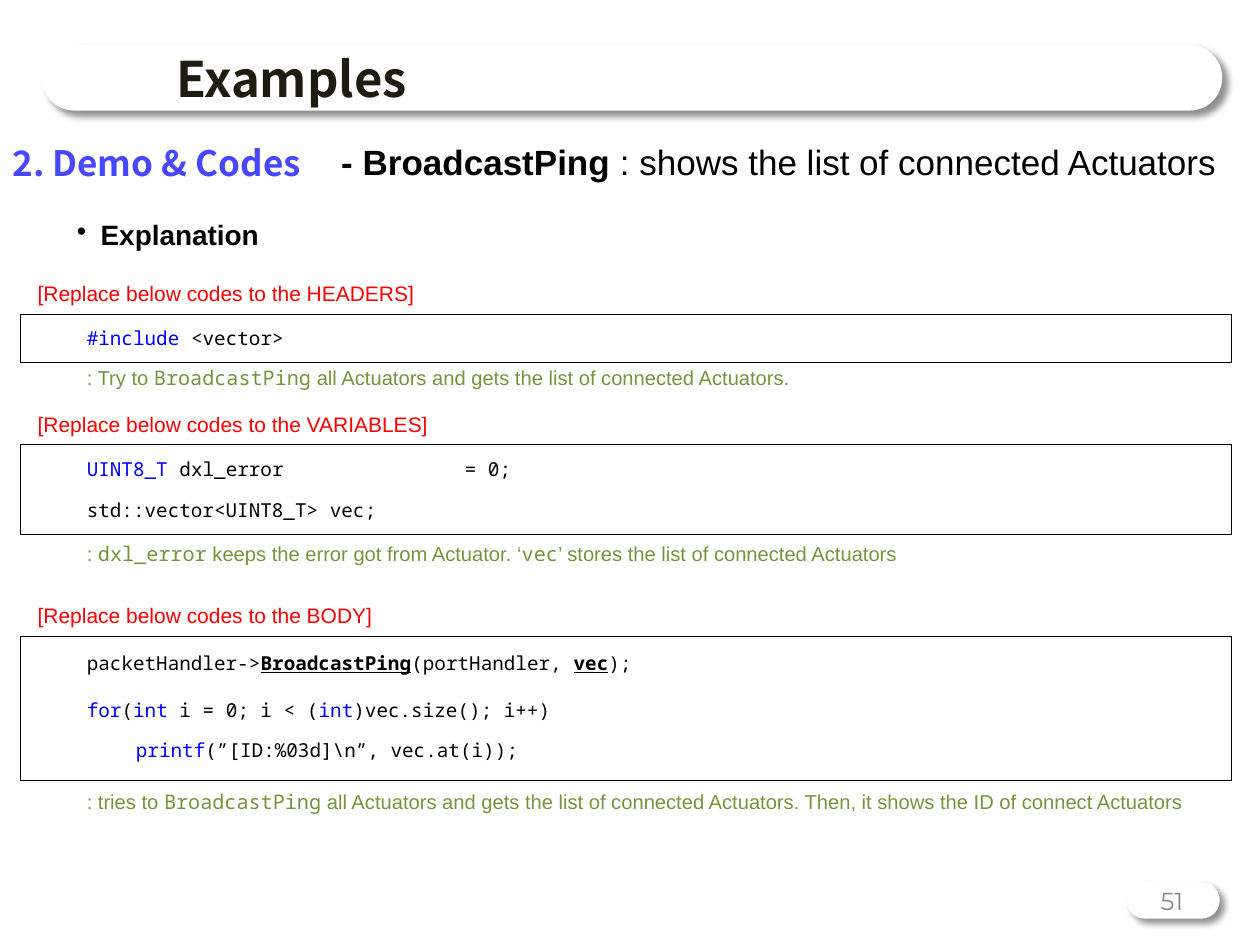
"""Build the slide explaining the BroadcastPing example."""
from lxml import etree
from pptx import Presentation
from pptx.dml.color import RGBColor
from pptx.enum.shapes import MSO_SHAPE
from pptx.enum.text import MSO_ANCHOR, MSO_AUTO_SIZE, PP_ALIGN
from pptx.oxml.ns import qn
from pptx.util import Cm, Pt

RECTANGLE, PILL = MSO_SHAPE.RECTANGLE, MSO_SHAPE.ROUNDED_RECTANGLE
TOP, MIDDLE = MSO_ANCHOR.TOP, MSO_ANCHOR.MIDDLE
LEFT, CENTER = PP_ALIGN.LEFT, PP_ALIGN.CENTER
NO_FIT = MSO_AUTO_SIZE.NONE

SANS, HEADING_FONT, MONO, NUMBER_FONT = "Arial", "Noto Sans CJK KR", "Noto Sans Mono", "Montserrat"
BLACK, WHITE, BLUE, RED, GREEN = "000000", "FFFFFF", "0000FF", "FF0000", "77933C"
KEYWORD = {"color": BLUE}
STRONG = {"bold": True, "underline": True}
CODE_NAME = {"font": MONO}
LINE_HEIGHT, HEADING_HEIGHT, CODE_LEFT = 0.82, 0.84, 1.5

SECTIONS = [
    {
        "name": "HEADERS", "top": 5.49, "frame_height": 0.97,
        "code": [(CODE_LEFT, 6.4, [("#include ", KEYWORD), "<vector>"])],
        "note_top": 7.19,
        "note": [": Try to ", ("BroadcastPing", CODE_NAME),
                 " all Actuators and gets the list of connected Actuators."],
    },
    {
        "name": "VARIABLES", "top": 8.13, "frame_height": 1.8,
        "code": [
            (CODE_LEFT, 9.04, [("UINT8_T", KEYWORD), " dxl_error\t\t= 0;"]),
            (CODE_LEFT, 9.86, ["std::vector<UINT8_T> vec;"]),
        ],
        "note_top": 10.74,
        "note": [": ", ("dxl_error", CODE_NAME), " keeps the error got from Actuator. ‘",
                 ("vec", CODE_NAME), "’ stores the list of connected Actuators"],
    },
    {
        "name": "BODY", "top": 11.99, "frame_height": 2.9,
        "code": [
            (CODE_LEFT, 12.95, ["packetHandler->", ("BroadcastPing", STRONG),
                                "(portHandler, ", ("vec", STRONG), ");"]),
            (CODE_LEFT, 13.89, [("for", KEYWORD), "(", ("int", KEYWORD), " i = 0; i < (",
                                ("int", KEYWORD), ")vec.size(); i++)"]),
            (2.49, 14.71, [("printf", KEYWORD), "(”[ID:%03d]\\n”, vec.at(i));"]),
        ],
        "note_top": 15.75,
        "note": [": tries to ", ("BroadcastPing", CODE_NAME),
                 " all Actuators and gets the list of connected Actuators."
                 " Then, it shows the ID of connect Actuators"],
    },
]


def rgb(code):
    """Turn a hex string into a colour."""
    return RGBColor.from_string(code)


def place(shape, left, top, width, height):
    """Move and size a shape, in centimetres."""
    shape.left, shape.top, shape.width, shape.height = map(Cm, (left, top, width, height))


def set_bullet(para, character=None, indent=0.0):
    """Give a paragraph a hanging bullet, or none."""
    properties = para._p.get_or_add_pPr()
    properties.set("marL", str(Cm(indent)))
    properties.set("indent", str(-Cm(indent)))
    if character:
        etree.SubElement(properties, qn("a:buChar"), char=character)
    else:
        etree.SubElement(properties, qn("a:buNone"))


def set_tabs(para, *positions):
    """Add left tab stops, in centimetres."""
    stops = etree.SubElement(para._p.get_or_add_pPr(), qn("a:tabLst"))
    for position in positions:
        etree.SubElement(stops, qn("a:tab"), pos=str(Cm(position)), algn="l")


def write_text(shape, spans, anchor=MIDDLE, align=LEFT, wrap=True, **style):
    """Write spans, each a string or a string with its own format."""
    frame = shape.text_frame
    frame.auto_size, frame.word_wrap, frame.vertical_anchor = NO_FIT, wrap, anchor
    para = frame.paragraphs[0]
    para.alignment, para.space_before = align, Pt(0)
    for item in spans:
        text, changes = (item, {}) if isinstance(item, str) else item
        look = {"font": SANS, "size": 12, "color": BLACK, "bold": False,
                "underline": False, **style, **changes}
        span = para.add_run()
        span.text = text
        span.font.name, span.font.size = look["font"], Pt(look["size"])
        span.font.bold, span.font.underline = look["bold"], look["underline"]
        span.font.color.rgb = rgb(look["color"])
    return para


def add_text(page, place_at, spans, **style):
    """Add a text box and return its paragraph."""
    box = page.shapes.add_textbox(*map(Cm, place_at))
    return write_text(box, spans, **style)


def add_pill(page, place_at):
    """Add a white pill with a soft shadow behind the title."""
    pill = page.shapes.add_shape(PILL, *map(Cm, place_at))
    pill.adjustments[0] = 0.5
    pill.fill.solid()
    pill.fill.fore_color.rgb = rgb(WHITE)
    pill.line.fill.background()
    pill.shadow.inherit = False
    effects = pill._element.spPr.find(qn("a:effectLst"))
    shadow = etree.SubElement(effects, qn("a:outerShdw"), blurRad=str(Pt(4)), dist=str(Pt(4)),
                              dir="2700000", algn="tl", rotWithShape="0")
    color = etree.SubElement(shadow, qn("a:srgbClr"), val=BLACK)
    etree.SubElement(color, qn("a:alpha"), val="43000")
    page.shapes.title._element.addprevious(pill._element)


def add_code_frame(page, top, height):
    """Add the thin outline around a block of code."""
    outline = page.shapes.add_shape(RECTANGLE, *map(Cm, (0.41, top, 24.41, height)))
    outline.fill.background()
    outline.line.color.rgb = rgb(BLACK)
    outline.line.width = Pt(0.5)
    outline.shadow.inherit = False


def add_section(page, section):
    """Add a red heading, its framed code and the green note."""
    top = section["top"]
    add_text(page, (0.51, top, 23.19, HEADING_HEIGHT),
             [f"[Replace below codes to the {section['name']}]"], color=RED)
    add_code_frame(page, top + HEADING_HEIGHT, section["frame_height"])
    for left, line_top, spans in section["code"]:
        para = add_text(page, (left, line_top, 20.8, LINE_HEIGHT), spans, font=MONO, size=11)
        if any("\t" in item for item in spans):
            set_tabs(para, 5.08, 7.62)
    add_text(page, (CODE_LEFT, section["note_top"], 23.9, LINE_HEIGHT), section["note"],
             size=11.5, color=GREEN)


def main():
    """Build and save the deck."""
    deck = Presentation()
    deck.slide_width, deck.slide_height = Cm(25.4), Cm(19.05)
    page = deck.slides.add_slide(deck.slide_layouts[1])
    title, body = page.shapes.title, page.placeholders[1]

    add_pill(page, (0.84, 0.91, 23.8, 1.32))
    add_pill(page, (22.71, 17.78, 1.88, 0.74))
    place(title, 3.3, 0.97, 20.4, 1.22)
    write_text(title, ["Examples"], font=HEADING_FONT, size=28, color="1E1C11", bold=True)
    place(body, 0, 2.72, 22.86, 14.81)
    set_bullet(body.text_frame.paragraphs[0])
    write_text(body, ["2. Demo & Codes"], anchor=TOP, font=HEADING_FONT, size=20,
               color="4747FF", bold=True)

    add_text(page, (6.63, 2.84, 18.77, LINE_HEIGHT),
             [("- BroadcastPing ", {"bold": True}), ": shows the list of connected Actuators"],
             size=20, wrap=False)
    explanation = add_text(page, (1.3, 4.32, 20.8, LINE_HEIGHT), ["Explanation"],
                           size=16, bold=True)
    set_bullet(explanation, "•", 0.48)
    for section in SECTIONS:
        add_section(page, section)
    add_text(page, (22.81, 17.78, 1.63, 0.74), ["51"], align=CENTER,
             font=NUMBER_FONT, size=14, color="888888")
    deck.save("out.pptx")


if __name__ == "__main__":
    main()
